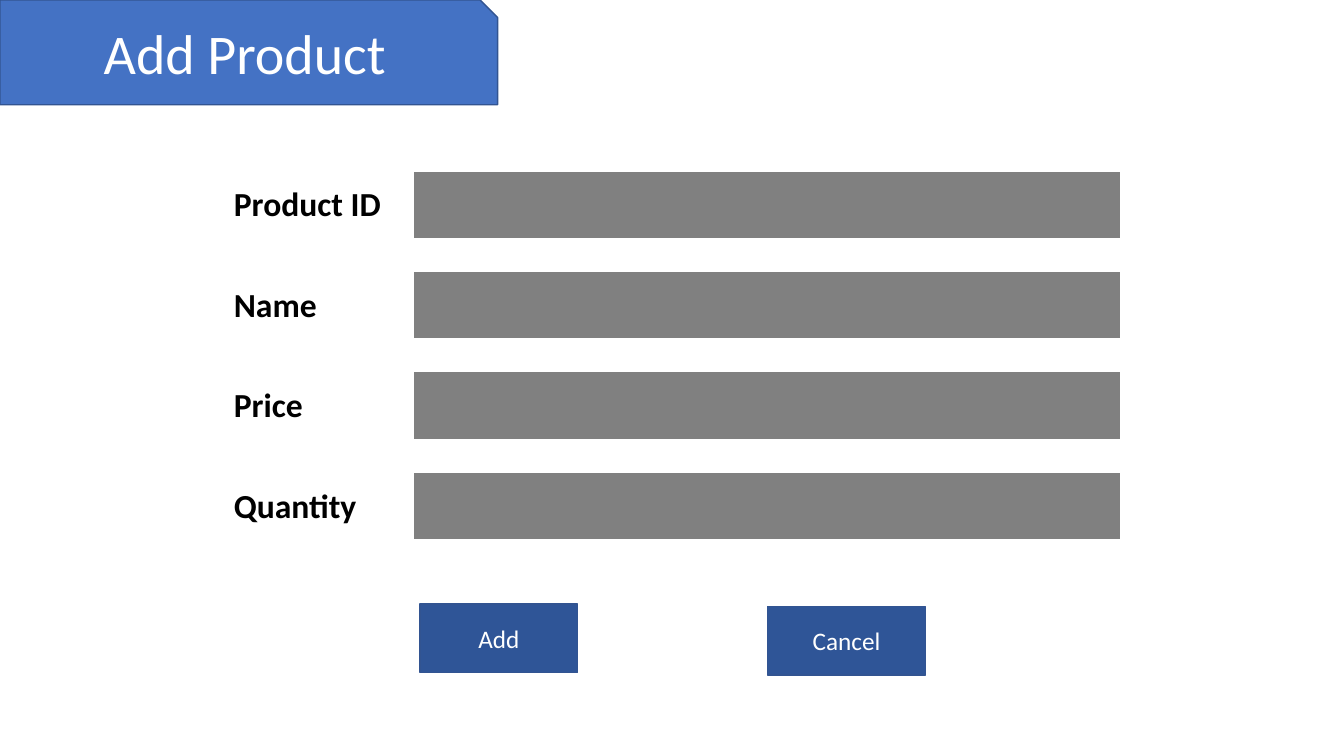
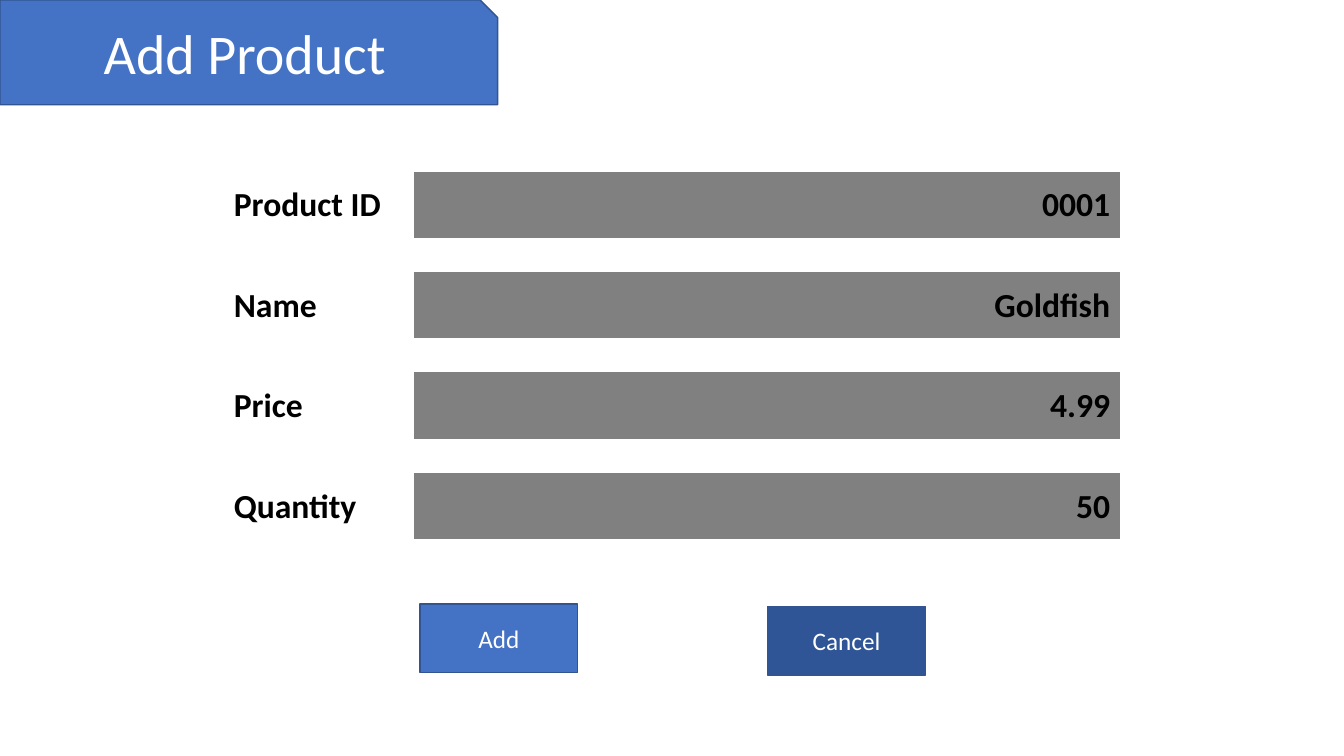
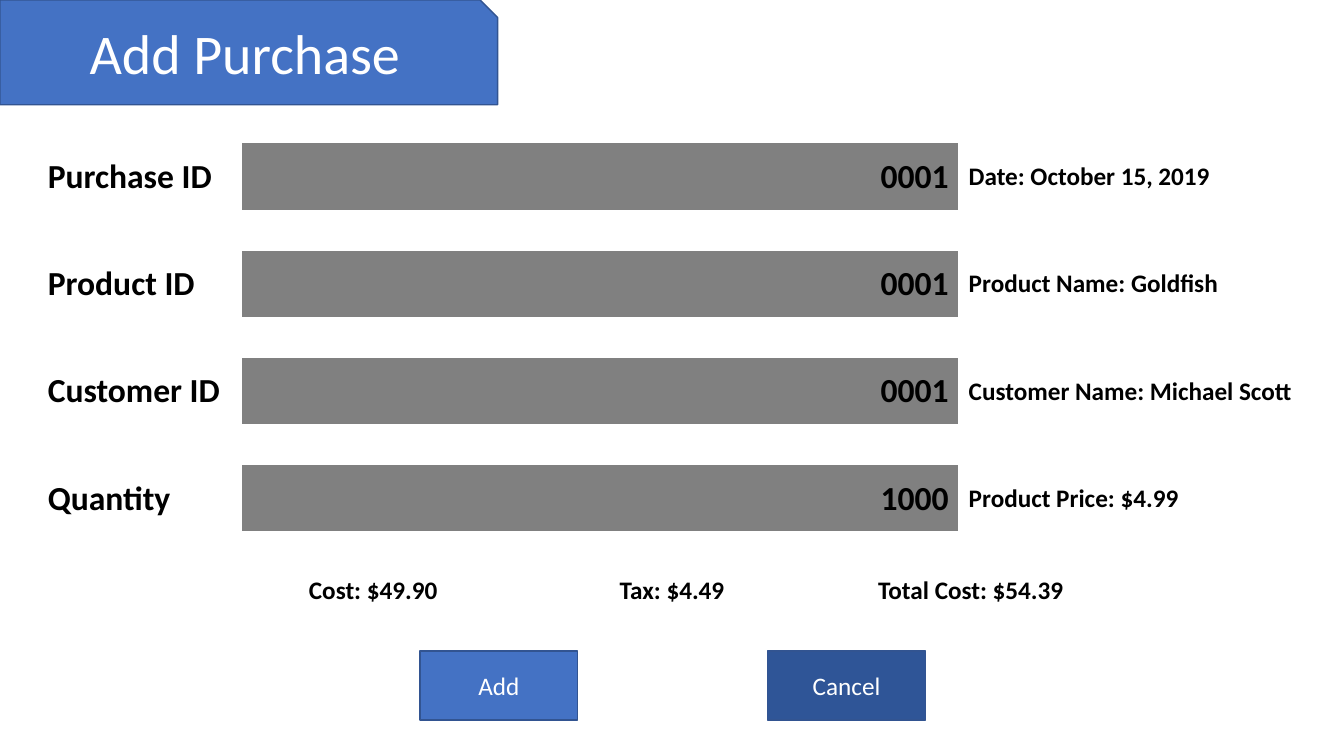
import pptx
import pptx.dml.color
import pptx.enum.shapes
import pptx.enum.text
import pptx.oxml
import pptx.oxml.ns
import pptx.util

Cm = pptx.util.Cm
Pt = pptx.util.Pt
RGBColor = pptx.dml.color.RGBColor
SHAPES = pptx.enum.shapes.MSO_SHAPE
ALIGN = pptx.enum.text.PP_ALIGN
MIDDLE = pptx.enum.text.MSO_ANCHOR.MIDDLE

BLUE = RGBColor(0x44, 0x72, 0xC4)
DARK_BLUE = RGBColor(0x2F, 0x55, 0x97)
OUTLINE = RGBColor(0x32, 0x54, 0x91)
GRAY = RGBColor(0x80, 0x80, 0x80)
WHITE = RGBColor(0xFF, 0xFF, 0xFF)
BLACK = RGBColor(0, 0, 0)

TITLE_FONT = {"name": "Calibri", "size": Pt(40), "bold": False}
BUTTON_FONT = {"name": "Calibri", "size": Pt(18), "bold": False}
FIELD_FONT = {"name": "Calibri", "size": Pt(24), "bold": True}
DETAIL_FONT = {"name": "Calibri", "size": Pt(18), "bold": True}

# Columns of a form row: font, alignment, fill
FIELD_COLUMNS = [
    (FIELD_FONT, ALIGN.LEFT, None),
    (FIELD_FONT, ALIGN.RIGHT, GRAY),
    (DETAIL_FONT, ALIGN.LEFT, None),
]
TOTAL_COLUMNS = [(DETAIL_FONT, ALIGN.CENTER, None)] * 3
BORDER_WIDTHS = {"lnL": 1, "lnR": 1, "lnT": 1, "lnB": 3}

BANNER_BOX = (0, 0, 12.54, 2.64)
BUTTON_WIDTH, BUTTON_HEIGHT = 3.97, 1.73
ADD_LEFT, CANCEL_LEFT = 10.59, 19.35
ROW_HEIGHT = 1.73

PRODUCT_LEFT, PRODUCT_TOP, PRODUCT_PITCH = 5.64, 4.31, 2.53
PRODUCT_WIDTHS = [4.78, 17.81]
PURCHASE_LEFT, PURCHASE_TOP, PURCHASE_PITCH = 0.95, 3.6, 2.7
PURCHASE_WIDTHS = [5.13, 18.08, 8.71]
TOTAL_TOP, TOTAL_HEIGHT = 14.38, 1.03
TOTAL_WIDTHS = [7.53] * 3

BLANK_PRODUCT = [("Product ID", ""), ("Name", ""), ("Price", ""), ("Quantity", "")]
FILLED_PRODUCT = [
    ("Product ID", "0001"),
    ("Name", "Goldfish"),
    ("Price", "4.99"),
    ("Quantity", "50"),
]
PURCHASE = [
    ("Purchase ID", "0001", "Date: October 15, 2019"),
    ("Product ID", "0001", "Product Name: Goldfish"),
    ("Customer ID", "0001", "Customer Name: Michael Scott"),
    ("Quantity", "1000", "Product Price: $4.99"),
]
TOTALS = ("Cost: $49.90", "Tax: $4.49", "Total Cost: $54.39")


def write_text(text_frame, text, font_format, color, alignment):
    """Fill a text frame with one formatted paragraph."""
    paragraph = text_frame.paragraphs[0]
    paragraph.alignment = alignment
    for name, value in font_format.items():
        setattr(paragraph.font, name, value)
    if text:
        run = paragraph.add_run()
        run.text = text
        for name, value in font_format.items():
            setattr(run.font, name, value)
        run.font.color.rgb = color


def add_box(slide, preset, box, fill):
    """Add an outlined, shadowless preset shape."""
    shape = slide.shapes.add_shape(preset, *map(Cm, box))
    shape.shadow.inherit = False
    shape.fill.solid()
    shape.fill.fore_color.rgb = fill
    shape.line.color.rgb = OUTLINE
    shape.line.width = Pt(1)
    return shape


def add_titled_slide(presentation, text):
    """Add a slide whose title stands on the corner banner."""
    slide = presentation.slides.add_slide(presentation.slide_layouts[5])
    title = slide.shapes.title
    banner = add_box(slide, SHAPES.SNIP_1_RECTANGLE, BANNER_BOX, BLUE)
    title.element.addprevious(banner.element)
    for name, value in zip(("left", "top", "width", "height"), BANNER_BOX):
        setattr(title, name, Cm(value))
    frame = title.text_frame
    frame.auto_size = pptx.enum.text.MSO_AUTO_SIZE.NONE
    frame.vertical_anchor = MIDDLE
    # Centre the title left of the snipped corner
    frame.margin_right = Cm(0.46)
    write_text(frame, text, TITLE_FONT, WHITE, ALIGN.CENTER)
    return slide


def add_button(slide, text, left, top, fill):
    """Add a form button with a centred caption."""
    box = (left, top, BUTTON_WIDTH, BUTTON_HEIGHT)
    button = add_box(slide, SHAPES.RECTANGLE, box, fill)
    button.text_frame.vertical_anchor = MIDDLE
    write_text(button.text_frame, text, BUTTON_FONT, WHITE, ALIGN.CENTER)


def set_borders(cell):
    """Give a cell white borders, thicker at the bottom."""
    properties = cell._tc.get_or_add_tcPr()
    for tag, width in BORDER_WIDTHS.items():
        properties.append(pptx.oxml.parse_xml(
            f'<a:{tag} {pptx.oxml.ns.nsdecls("a")} w="{Pt(width)}">'
            f'<a:solidFill><a:srgbClr val="{WHITE}"/></a:solidFill></a:{tag}>'
        ))


def add_row(slide, texts, columns, widths, left, top, height=ROW_HEIGHT):
    """Add a one-row table with a format for each column."""
    frame = slide.shapes.add_table(
        1, len(texts), Cm(left), Cm(top), Cm(sum(widths)), Cm(height)
    )
    table = frame.table
    table.first_row = False
    table.horz_banding = False
    for index, (text, column) in enumerate(zip(texts, columns)):
        font_format, alignment, fill = column
        table.columns[index].width = Cm(widths[index])
        cell = table.cell(0, index)
        cell.vertical_anchor = MIDDLE
        set_borders(cell)
        if fill is None:
            cell.fill.background()
        else:
            cell.fill.solid()
            cell.fill.fore_color.rgb = fill
        write_text(cell.text_frame, text, font_format, BLACK, alignment)


def add_form(slide, rows, widths, left, top, pitch):
    """Stack the field rows of a form at an equal pitch."""
    for index, texts in enumerate(rows):
        add_row(slide, texts, FIELD_COLUMNS, widths, left, top + index * pitch)


def add_product_slide(presentation, rows, add_fill):
    """Add a product form with its two buttons."""
    slide = add_titled_slide(presentation, "Add Product")
    add_button(slide, "Add", ADD_LEFT, 15.22, add_fill)
    add_button(slide, "Cancel", CANCEL_LEFT, 15.28, DARK_BLUE)
    add_form(slide, rows, PRODUCT_WIDTHS, PRODUCT_LEFT, PRODUCT_TOP, PRODUCT_PITCH)


def add_purchase_slide(presentation):
    """Add the purchase form with its totals and buttons."""
    slide = add_titled_slide(presentation, "Add Purchase")
    add_button(slide, "Add", ADD_LEFT, 16.41, BLUE)
    add_button(slide, "Cancel", CANCEL_LEFT, 16.41, DARK_BLUE)
    add_form(slide, PURCHASE, PURCHASE_WIDTHS, PURCHASE_LEFT, PURCHASE_TOP,
             PURCHASE_PITCH)
    add_row(slide, TOTALS, TOTAL_COLUMNS, TOTAL_WIDTHS, PRODUCT_LEFT, TOTAL_TOP,
            TOTAL_HEIGHT)


def main():
    """Build and save the presentation."""
    presentation = pptx.Presentation()
    presentation.slide_width = Cm(33.87)
    presentation.slide_height = Cm(19.05)
    add_product_slide(presentation, BLANK_PRODUCT, DARK_BLUE)
    add_product_slide(presentation, FILLED_PRODUCT, BLUE)
    add_purchase_slide(presentation)
    presentation.save("out.pptx")


main()
